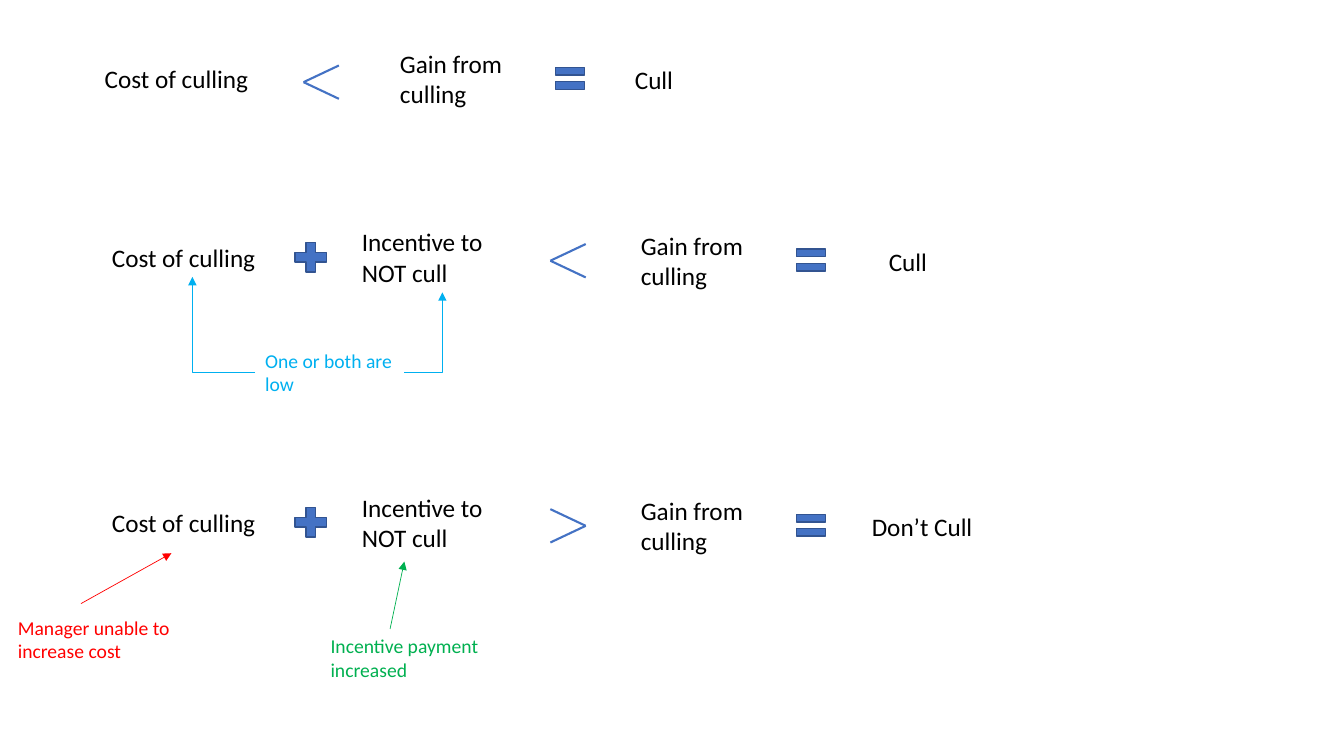
from dataclasses import dataclass

from lxml.etree import SubElement
from pptx import Presentation
from pptx.dml.color import RGBColor as Rgb
from pptx.enum.shapes import MSO_CONNECTOR as Link, MSO_SHAPE as Preset
from pptx.enum.text import MSO_AUTO_SIZE as AutoSize
from pptx.oxml.ns import qn
from pptx.util import Cm, Pt


@dataclass(frozen=True)
class Theme:
    font: str = "Calibri"
    term_size: int = 18
    note_size: int = 14
    ink: str = "000000"
    sign: str = "4472C4"
    sign_edge: str = "325491"
    low: str = "00B0F0"
    fixed: str = "FF0000"
    raised: str = "00B050"
    edge_width: float = 1
    sign_width: float = 1.5
    arrow_width: float = 0.5


THEME = Theme()
ONE_LINE, TWO_LINES, NOTE_HEIGHT, TERM_WIDTH = 1.02, 1.8, 1.45, 4.55


def apply(target, formats):
    for name, value in formats.items():
        setattr(target, name, value)


def add_words(slide, words, left, top, width, height, size=THEME.term_size, color=THEME.ink):
    box = slide.shapes.add_textbox(Cm(left), Cm(top), Cm(width), Cm(height))
    apply(box.text_frame, {"word_wrap": True, "auto_size": AutoSize.SHAPE_TO_FIT_TEXT})
    run = box.text_frame.paragraphs[0].add_run()
    run.text = words
    apply(run.font, {"name": THEME.font, "size": Pt(size)})
    run.font.color.rgb = Rgb.from_string(color)


def add_line(shapes, start, end, color, width, kind=Link.STRAIGHT):
    line = shapes.add_connector(kind, *(Cm(v) for v in (*start, *end)))
    line.line.color.rgb = Rgb.from_string(color)
    line.line.width = Pt(width)
    SubElement(line._element.spPr, qn("a:effectLst"))
    return line


def add_arrow(slide, start, end, color, kind=Link.STRAIGHT):
    arrow = add_line(slide.shapes, start, end, color, THEME.arrow_width, kind)
    SubElement(arrow.line._get_or_add_ln(), qn("a:tailEnd"), type="triangle")
    if kind == Link.ELBOW:  # a single corner: across, then up
        arrow._element.spPr.find(qn("a:prstGeom")).set("prst", "bentConnector2")


def add_operator(slide, preset, left, top, width, height, adjustments=()):
    operator = slide.shapes.add_shape(preset, Cm(left), Cm(top), Cm(width), Cm(height))
    operator.shadow.inherit = False
    operator.fill.solid()
    operator.fill.fore_color.rgb = Rgb.from_string(THEME.sign)
    operator.line.color.rgb = Rgb.from_string(THEME.sign_edge)
    operator.line.width = Pt(THEME.edge_width)
    for index, value in enumerate(adjustments):
        operator.adjustments[index] = value


def add_comparison(slide, sign, left, top, width=0.89, height=0.84):
    tip, ends = (left, left + width) if sign == "<" else (left + width, left)
    group = slide.shapes.add_group_shape()
    for end_top in (top, top + height):
        add_line(group.shapes, (ends, end_top), (tip, top + height / 2),
                 THEME.sign, THEME.sign_width)


def add_equation(slide, left, top, sign, columns, result, result_width, incentive=False, drop=0.0):
    """One row; columns holds the offsets of sign, gain, equals and result."""
    sign_x, gain_x, equals_x, result_x = (left + offset for offset in columns)
    # Cost side
    add_words(slide, "Cost of culling", left, top + 0.38, TERM_WIDTH, ONE_LINE)
    if incentive:
        add_operator(slide, Preset.MATH_PLUS, left + 4.72, top + 0.38, 1.09, 1.02)
        add_words(slide, "Incentive to NOT cull", left + 6.3, top, TERM_WIDTH, TWO_LINES)
    # Gain side and outcome
    add_comparison(slide, sign, sign_x, top + 0.56)
    add_words(slide, "Gain from culling", gain_x, top + drop, TERM_WIDTH, TWO_LINES)
    add_operator(slide, Preset.MATH_EQUAL, equals_x, top + drop + 0.48, 0.99, 0.81, (0.235, 0.207))
    add_words(slide, result, result_x, top + drop + 0.4, result_width, ONE_LINE)


def add_note(slide, words, left, top, width, color, arrows, kind=Link.STRAIGHT):
    """A note and its arrows; arrow ends are offsets from the note's corner."""
    add_words(slide, words, left, top, width, NOTE_HEIGHT, THEME.note_size, color)
    for ends in arrows:
        start, end = ((left + x, top + y) for x, y in ends)
        add_arrow(slide, start, end, color, kind)


def build_culling_slide(deck):
    slide = deck.slides.add_slide(deck.slide_layouts[6])
    long_columns = (11.3, 13.33, 17.37)
    row_left, low_top, raised_top = 2.57, 5.59, 12.27

    # Equations
    add_equation(slide, 2.39, 1.09, "<", (5.26, 7.44, 11.48, 13.36), "Cull", 1.52)
    add_equation(slide, row_left, low_top, "<", (*long_columns, 19.58), "Cull", 1.52,
                 incentive=True, drop=0.08)
    add_equation(slide, row_left, raised_top, ">", (*long_columns, 19.15), "Don’t Cull", 3.28,
                 incentive=True, drop=0.08)

    # Notes
    add_note(slide, "One or both are low", 6.43, 8.66, 3.76, THEME.low,
             [((0, 0.72), (-1.58, -1.68)), ((3.76, 0.72), (4.72, -1.29))], Link.ELBOW)
    add_note(slide, "Manager unable to increase cost", 0.2, 15.39, 4.75, THEME.fixed,
             [((1.84, -0.18), (4.12, -1.45))])
    add_note(slide, "Incentive payment increased", 8.08, 15.85, 4.75, THEME.raised,
             [((1.75, 0), (2.11, -1.7))])


deck = Presentation()
apply(deck, {"slide_width": Cm(33.87), "slide_height": Cm(19.05)})
build_culling_slide(deck)
deck.save("out.pptx")
